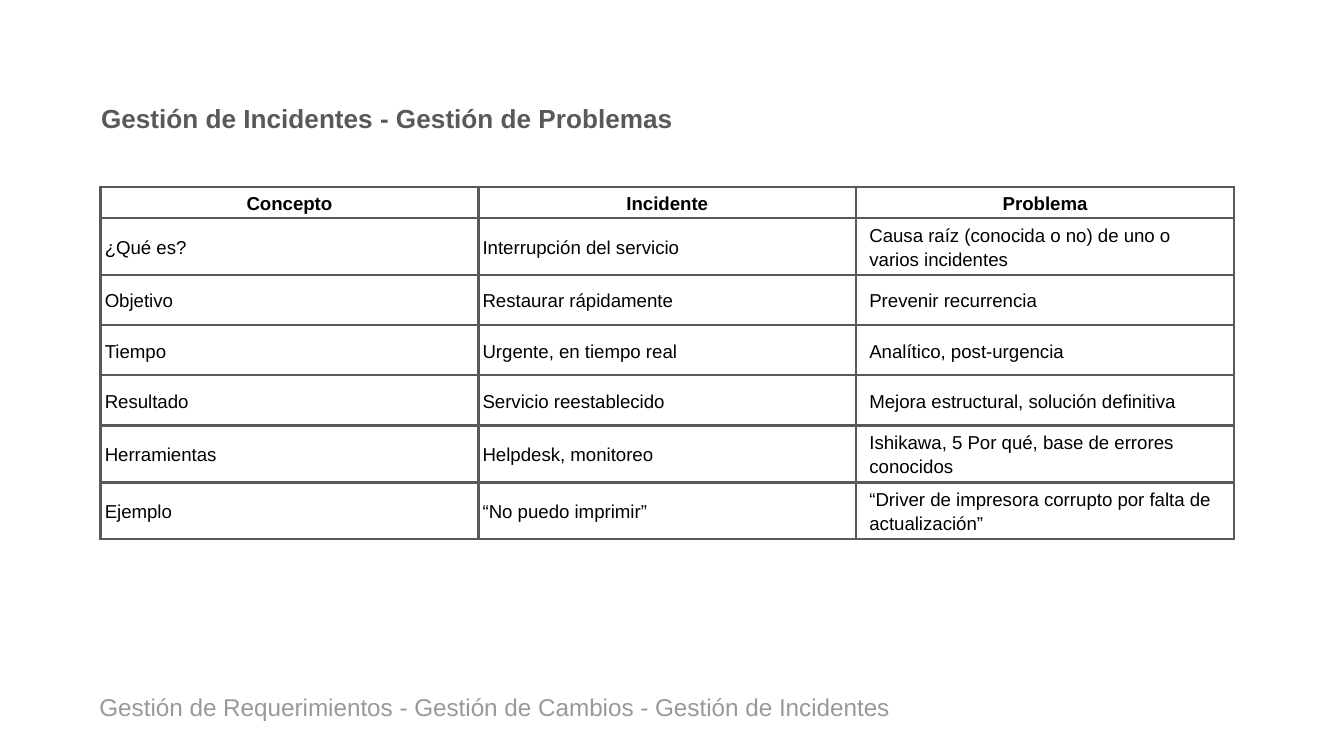
from lxml.etree import SubElement as Sub
from pptx import Presentation as Deck
from pptx.dml.color import RGBColor as Rgb
from pptx.enum.text import MSO_ANCHOR as Anchor, PP_ALIGN as Align
from pptx.oxml.ns import qn
from pptx.util import Cm, Pt

hues = {"title": "595959", "foot": "999999", "text": "000000", "line": "595959"}


def style(para, size, hue, bold=False):
    para.font.name = "Arial"
    para.font.size = Pt(size)
    para.font.bold = bold
    para.font.color.rgb = Rgb.from_string(hues[hue])


def border(cell):
    props = cell._tc.get_or_add_tcPr()
    for i, side in enumerate(("lnL", "lnR", "lnT", "lnB")):
        line = props.makeelement(qn(f"a:{side}"), {"w": str(Pt(1.5))})
        fill = Sub(line, qn("a:solidFill"))
        Sub(fill, qn("a:srgbClr"), val=hues["line"])
        props.insert(i, line)


deck = Deck()
deck.slide_width = Cm(25.4)
deck.slide_height = Cm(14.29)
slide = deck.slides.add_slide(deck.slide_layouts[6])

labels = [
    ("Gestión de Incidentes - Gestión de Problemas",
     (1.73, 1.83, 11.18, 0.76), 14, "title", True),
    ("Gestión de Requerimientos - Gestión de Cambios - Gestión de Incidentes",
     (1.7, 12.98, 15.95, 1.3), 13, "foot", False),
]
for text, place, size, hue, bold in labels:
    frame = slide.shapes.add_textbox(*map(Cm, place)).text_frame
    frame.word_wrap = True
    frame.margin_left = frame.margin_right = Cm(0.18)
    frame.margin_top = frame.margin_bottom = Cm(0.1)
    frame.text = text
    style(frame.paragraphs[0], size, hue, bold)

rows = [
    ("Concepto", "Incidente", "Problema"),
    ("¿Qué es?", "Interrupción del servicio",
     "Causa raíz (conocida o no) de uno o varios incidentes"),
    ("Objetivo", "Restaurar rápidamente", "Prevenir recurrencia"),
    ("Tiempo", "Urgente, en tiempo real", "Analítico, post-urgencia"),
    ("Resultado", "Servicio reestablecido", "Mejora estructural, solución definitiva"),
    ("Herramientas", "Helpdesk, monitoreo",
     "Ishikawa, 5 Por qué, base de errores conocidos"),
    ("Ejemplo", "“No puedo imprimir”",
     "“Driver de impresora corrupto por falta de actualización”"),
]
table = slide.shapes.add_table(
    len(rows), 3, Cm(1.9), Cm(3.53), Cm(21.42), Cm(6.26)).table
table.first_row = table.horz_banding = False
for col in table.columns:
    col.width = Cm(7.14)

for r, row in enumerate(rows):
    head = r == 0
    table.rows[r].height = Cm(0.56 if head else 0.95)
    for c, text in enumerate(row):
        cell = table.cell(r, c)
        cell.text = text
        cell.fill.background()
        cell.vertical_anchor = Anchor.MIDDLE
        cell.margin_left = cell.margin_right = Cm(0.25 if c == 2 and not head else 0.08)
        cell.margin_top = cell.margin_bottom = Cm(0.05)
        para = cell.text_frame.paragraphs[0]
        para.alignment = Align.CENTER if head else Align.LEFT
        para.line_spacing = 1.15
        style(para, 10, "text", head)
        border(cell)

deck.save("out.pptx")
